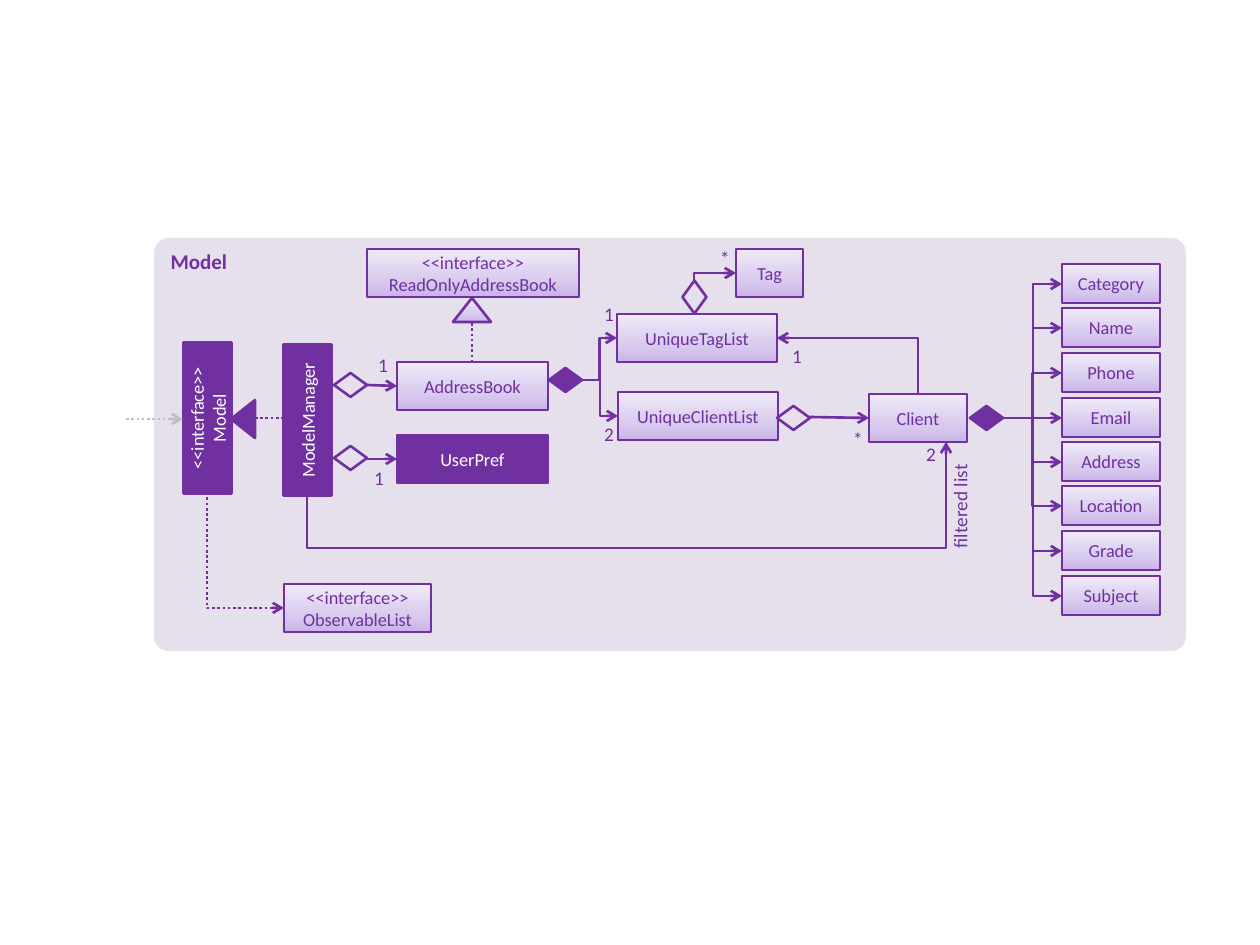
from copy import deepcopy
from dataclasses import dataclass
from lxml.etree import SubElement as Sub
from pptx import Presentation
from pptx.dml.color import RGBColor as RGB
from pptx.enum.dml import MSO_LINE as Dash
from pptx.enum.shapes import MSO_CONNECTOR as Link, MSO_SHAPE as Form
from pptx.enum.text import MSO_ANCHOR as Anchor, MSO_AUTO_SIZE as Fit, PP_ALIGN as Align
from pptx.oxml.ns import qn
from pptx.util import Pt

UNIT = 914400 / 126


@dataclass(frozen=True)
class Theme:
    font: str = "Calibri"
    main: str = "7030A0"
    pale: str = "E6E0EC"
    grey: str = "BFBFBF"
    white: str = "FFFFFF"
    fade: tuple = ((0, "C9B5E8"), (0.35, "D8CBEE"), (1, "F0EAF9"))
    head: float = 12
    body: float = 10.5
    note: float = 11
    line: float = 1.5


THEME = Theme()


def emu(px):
    return round(px * UNIT)


def hue(code):
    return RGB.from_string(code)


def apply(item, values):
    for name, value in values.items():
        setattr(item, name, value)


def write(shape, text, size, color=THEME.main, align=Align.CENTER, bold=False, **frame):
    shape.text_frame.text = text
    apply(shape.text_frame, {"word_wrap": True, "vertical_anchor": Anchor.MIDDLE, **frame})
    for para in shape.text_frame.paragraphs:
        para.alignment = align
        for run in para.runs:
            apply(run.font, {"name": THEME.font, "size": Pt(size), "bold": bold})
            run.font.color.rgb = hue(color)


def paint(shape, fill):
    if fill is None:
        shape.fill.background()
    elif isinstance(fill, str):
        shape.fill.solid()
        shape.fill.fore_color.rgb = hue(fill)
    else:
        shape.fill.gradient()
        shape.fill.gradient_angle = 90
        stops = shape._element.spPr.find(".//" + qn("a:gsLst"))
        stops.append(deepcopy(stops[0]))
        for stop, (place, code) in zip(shape.fill.gradient_stops, fill):
            stop.position = place
            stop.color.rgb = hue(code)


def add_form(slide, form, place, fill, turn=0, edge=True):
    shape = slide.shapes.add_shape(form, *map(emu, place))
    shape.shadow.inherit = False
    shape.rotation = turn
    paint(shape, fill)
    if edge:
        shape.line.color.rgb = hue(THEME.main)
        shape.line.width = Pt(THEME.line)
    else:
        shape.line.fill.background()
    return shape


def add_box(slide, text, place, solid=False, turn=0):
    box = add_form(slide, Form.RECTANGLE, place, THEME.main if solid else THEME.fade, turn)
    write(box, text, THEME.body, THEME.white if solid else THEME.main)


def add_note(slide, text, place):
    box = slide.shapes.add_textbox(*map(emu, place))
    margins = {f"margin_{side}": 0 for side in ("left", "top", "right", "bottom")}
    write(box, text, THEME.note, vertical_anchor=Anchor.TOP, **margins)


def add_line(slide, start, end, kind=Link.STRAIGHT, tip="tailEnd", dots=False, color=THEME.main):
    line = slide.shapes.add_connector(kind, *map(emu, start + end))
    line.line.color.rgb = hue(color)
    line.line.width = Pt(THEME.line)
    if dots:
        line.line.dash_style = Dash.ROUND_DOT
    props = line._element.spPr
    if tip:
        Sub(props.find(qn("a:ln")), qn("a:" + tip), type="arrow")
    Sub(props, qn("a:effectLst"))
    return line


def add_turn(slide, start, end, dots=False):
    line = add_line(slide, end, start, Link.ELBOW, "headEnd", dots)
    line._element.spPr.find(qn("a:prstGeom")).set("prst", "bentConnector2")


def add_loop(slide, start, end, drop):
    line = add_line(slide, start, end, Link.ELBOW)
    (x1, y1), (x2, y2) = start, end
    wide, high = y1 - y2, x2 - x1
    place = {"left": (x1 + x2 - wide) / 2, "top": (y1 + y2 - high) / 2,
             "width": wide, "height": high}
    apply(line, {name: emu(value) for name, value in place.items()})
    props = line._element.spPr
    for name, value in {"rot": "5400000", "flipH": "1", "flipV": "1"}.items():
        props.find(qn("a:xfrm")).set(name, value)
    geom = props.find(qn("a:prstGeom"))
    geom.set("prst", "bentConnector4")
    guides = geom.find(qn("a:avLst"))
    for name, value in {"adj1": -drop / wide, "adj2": 1}.items():
        Sub(guides, qn("a:gd"), name=name, fmla=f"val {round(value * 100000)}")


def add_panel(slide):
    panel = add_form(slide, Form.ROUNDED_RECTANGLE, (154, 238, 1032, 413), THEME.pale, edge=False)
    panel.adjustments[0] = 0.035
    title = slide.shapes.title
    place = {"left": 158, "top": 242, "width": 200, "height": 40}
    apply(title, {name: emu(value) for name, value in place.items()})
    write(title, "Model", THEME.head, align=Align.LEFT, bold=True,
          vertical_anchor=Anchor.TOP, auto_size=Fit.NONE)
    panel._element.addnext(title._element)


def add_types(slide):
    for text, place, solid, turn in (
        ("UserPref", (397, 435, 151, 48), True, 0),
        ("ModelManager", (232, 396, 151, 48), True, 270),
        ("<<interface>>\nModel", (132, 394, 151, 48), True, 270),
        ("AddressBook", (397, 362, 151, 48), False, 0),
        ("UniqueClientList", (618, 392, 160, 48), False, 0),
        ("UniqueTagList", (617, 314, 160, 48), False, 0),
        ("Client", (869, 394, 98, 48), False, 0),
        ("Tag", (736, 249, 67, 48), False, 0),
        ("<<interface>>\nReadOnlyAddressBook", (367, 249, 212, 48), False, 0),
        ("<<interface>>\nObservableList", (284, 584, 147, 48), False, 0),
    ):
        add_box(slide, text, place, solid, turn)


def add_marks(slide):
    for left, top, fill, turn in (
        (334, 446, None, 0), (334, 373, None, 0), (549, 368, THEME.main, 0),
        (777, 406, None, 0), (678, 285, None, 270), (970, 406, THEME.main, 0),
    ):
        add_form(slide, Form.FLOWCHART_DECISION, (left, top, 33, 24), fill, turn)
    add_form(slide, Form.ISOSCELES_TRIANGLE, (224, 407, 38, 24), THEME.main, 270)
    add_form(slide, Form.ISOSCELES_TRIANGLE, (453, 298, 38, 24), THEME.fade)


def add_links(slide):
    for start, end in (((367, 459), (397, 459)), ((367, 385), (397, 386)),
                       ((810, 417), (869, 418))):
        add_line(slide, start, end)
    for start, end in (((255, 418), (285, 418)), ((472, 323), (472, 362))):
        add_line(slide, start, end, tip=None, dots=True)
    add_line(slide, (126, 419), (183, 419), dots=True, color=THEME.grey)
    for end in ((618, 416), (617, 338)):
        add_line(slide, (582, 380), end, Link.ELBOW)
    add_turn(slide, (694, 281), (736, 273))
    add_turn(slide, (918, 394), (777, 338))
    add_turn(slide, (207, 494), (284, 608), dots=True)
    add_loop(slide, (307, 495), (946, 442), 53)


def add_fields(slide):
    names = ("Category", "Name", "Phone", "Email", "Address", "Location", "Grade", "Subject")
    for row, name in enumerate(names):
        top = round(264 + 44.5 * row)
        add_box(slide, name, (1062, top, 98, 39))
        end = (1062, top + 20)
        if 2 <= row <= 5:
            add_line(slide, (1003, 418), end, Link.ELBOW)
        else:
            add_turn(slide, (1033, 418), end)


def add_notes(slide):
    for text, left, top in (
        ("1", 596, 302), ("2", 596, 422), ("1", 784, 344), ("*", 712, 246),
        ("*", 845, 427), ("1", 370, 353), ("1", 366, 466), ("2", 918, 442),
    ):
        add_note(slide, text, (left, top, 26, 25))
    label = slide.shapes.add_textbox(*map(emu, (900, 494, 121, 37)))
    label.rotation = 270
    write(label, "filtered list", THEME.note, align=Align.RIGHT, vertical_anchor=Anchor.TOP)


def main():
    deck = Presentation()
    apply(deck, {"slide_width": emu(1260), "slide_height": emu(945)})
    slide = deck.slides.add_slide(deck.slide_layouts[5])
    for step in (add_panel, add_types, add_marks, add_links, add_fields, add_notes):
        step(slide)
    deck.save("out.pptx")


main()
